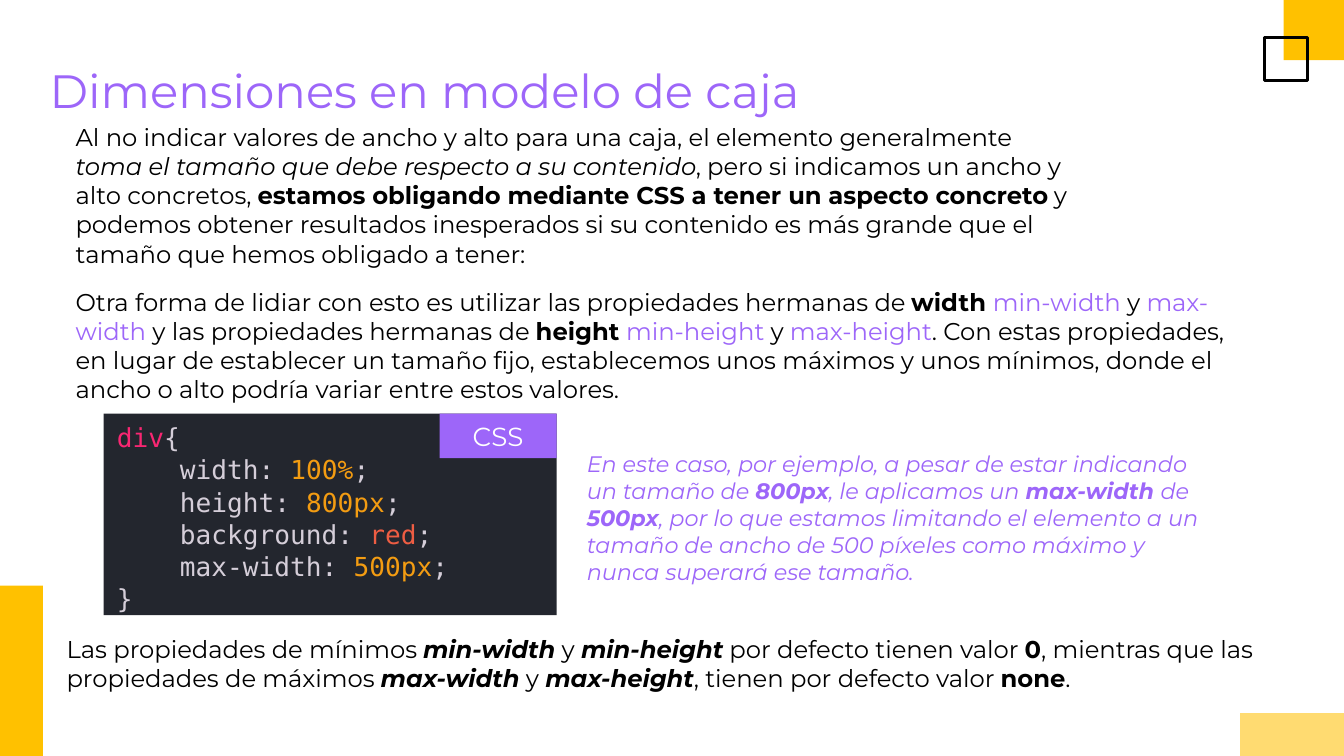
"""Build the slide about box model dimensions in CSS."""
from typing import NamedTuple

from pptx import Presentation
from pptx.dml.color import RGBColor
from pptx.enum.shapes import MSO_SHAPE
from pptx.enum.text import MSO_ANCHOR, MSO_AUTO_SIZE, PP_ALIGN
from pptx.util import Cm, Pt

RECTANGLE = MSO_SHAPE.RECTANGLE
TOP, MIDDLE = MSO_ANCHOR.TOP, MSO_ANCHOR.MIDDLE
LEFT, CENTER = PP_ALIGN.LEFT, PP_ALIGN.CENTER
NO_AUTOFIT = MSO_AUTO_SIZE.NONE

TEXT_FONT, CODE_FONT = "Montserrat", "DejaVu Sans Mono"
BLACK, WHITE, PURPLE = "000000", "FFFFFF", "9D66F9"
YELLOW, PALE_YELLOW = "FFC100", "FFDB71"
CODE_BACK, CODE_TEXT = "23262E", "D5CED9"
CODE_TAG, CODE_NUMBER, CODE_NAME = "F92672", "F39C12", "EE5D43"


class Area(NamedTuple):
    left: float
    top: float
    width: float
    height: float


class Span(NamedTuple):
    text: str
    color: str = BLACK
    bold: bool = False
    italic: bool = False


class Prose(NamedTuple):
    area: Area
    size: int
    spans: list[Span]


def strong(text: str) -> Span:
    return Span(text, bold=True)


def strong_italic(text: str) -> Span:
    return Span(text, bold=True, italic=True)


def purple(text: str) -> Span:
    return Span(text, PURPLE)


def remark(text: str, bold: bool = False) -> Span:
    return Span(text, PURPLE, bold, True)


def declaration(name: str, value: str, color: str) -> list[Span]:
    return [Span(f"    {name}: ", CODE_TEXT), Span(value, color), Span(";", CODE_TEXT)]


BLOCKS = [
    (Area(24.26, 0, 1.14, 1.14), YELLOW),
    (Area(0, 11.07, 0.81, 3.22), YELLOW),
    (Area(23.9, 0.71, 0.81, 0.81), None),
    (Area(23.44, 13.48, 1.96, 0.81), PALE_YELLOW),
]

PROSE = [
    Prose(Area(0.86, 2.06, 19.66, 3.51), 13, [
        Span("Al no indicar valores de ancho y alto para una caja, el elemento generalmente "),
        Span("toma el tamaño que debe respecto a su contenido", italic=True),
        Span(", pero si indicamos un ancho y alto concretos, "),
        strong("estamos obligando mediante CSS a tener un aspecto concreto"),
        Span(" y podemos obtener resultados inesperados si su contenido es más grande "
             "que el tamaño que hemos obligado a tener:"),
    ]),
    Prose(Area(0.86, 5.18, 23.06, 3.07), 13, [
        Span("Otra forma de lidiar con esto es utilizar las propiedades hermanas de "),
        strong("width "), purple("min-width"), Span(" y "), purple("max-width"),
        Span(" y las propiedades hermanas de "),
        strong("height "), purple("min-height"), Span(" y "), purple("max-height"),
        Span(". Con estas propiedades, en lugar de establecer un tamaño fijo, establecemos "
             "unos máximos y unos mínimos, donde el ancho o alto podría variar entre estos "
             "valores."),
    ]),
    Prose(Area(10.52, 8.26, 12.65, 2.9), 12, [
        remark("En este caso, por ejemplo, a pesar de estar indicando un tamaño de "),
        remark("800px", True), remark(", le aplicamos un "),
        remark("max-width ", True), remark("de "), remark("500px", True),
        remark(", por lo que estamos limitando el elemento a un tamaño de ancho de "
               "500 píxeles como máximo y nunca superará ese tamaño."),
    ]),
    Prose(Area(0.69, 11.73, 23.85, 1.57), 13, [
        Span("Las propiedades de mínimos "), strong_italic("min-width"), Span(" y "),
        strong_italic("min-height"), Span(" por defecto tienen valor "), strong("0"),
        Span(", mientras que las propiedades de máximos "), strong_italic("max-width"),
        Span(" y "), strong_italic("max-height"), Span(", tienen por defecto valor "),
        strong("none"), Span("."),
    ]),
]

CODE = [
    [Span("div", CODE_TAG), Span("{", CODE_TEXT)],
    declaration("width", "100%", CODE_NUMBER),
    declaration("height", "800px", CODE_NUMBER),
    declaration("background", "red", CODE_NAME),
    declaration("max-width", "500px", CODE_NUMBER),
    [Span("}", CODE_TEXT)],
]


def rgb(color: str) -> RGBColor:
    return RGBColor.from_string(color)


def lengths(area: Area) -> list[Cm]:
    return [Cm(value) for value in area]


def add_block(page, area: Area, fill: str | None):
    block = page.shapes.add_shape(RECTANGLE, *lengths(area))
    block.shadow.inherit = False
    if fill:
        block.fill.solid()
        block.fill.fore_color.rgb = rgb(fill)
        block.line.fill.background()
    else:
        block.fill.background()
        block.line.color.rgb = rgb(BLACK)
        block.line.width = Pt(1.5)
    return block


def set_frame(box, anchor=TOP, vertical_inset: float = 0.25):
    frame = box.text_frame
    frame.word_wrap = True
    frame.auto_size = NO_AUTOFIT
    frame.vertical_anchor = anchor
    frame.margin_left = frame.margin_right = Cm(0.25)
    frame.margin_top = frame.margin_bottom = Cm(vertical_inset)
    return frame


def write(paragraph, spans: list[Span], size: int, font: str = TEXT_FONT, align=LEFT) -> None:
    paragraph.alignment = align
    for span in spans:
        run = paragraph.add_run()
        run.text = span.text
        run.font.name = font
        run.font.size = Pt(size)
        run.font.bold = span.bold
        run.font.italic = span.italic
        run.font.color.rgb = rgb(span.color)


def add_prose(page, prose: Prose) -> None:
    box = page.shapes.add_textbox(*lengths(prose.area))
    paragraph = set_frame(box).paragraphs[0]
    paragraph._p.get_or_add_pPr().set("marL", str(Cm(0.32)))
    write(paragraph, prose.spans, prose.size)


def add_code(page) -> None:
    panel = add_block(page, Area(1.96, 7.82, 8.56, 3.81), CODE_BACK)
    frame = set_frame(panel, vertical_inset=0.13)
    for number, line in enumerate(CODE):
        paragraph = frame.add_paragraph() if number else frame.paragraphs[0]
        paragraph.line_spacing = 1.03
        write(paragraph, line, 14, CODE_FONT)
    label = add_block(page, Area(8.31, 7.82, 2.21, 0.84), PURPLE)
    write(set_frame(label, MIDDLE).paragraphs[0], [Span("CSS", WHITE)], 14, align=CENTER)


def main() -> None:
    deck = Presentation()
    deck.slide_width, deck.slide_height = Cm(25.4), Cm(14.29)
    page = deck.slides.add_slide(deck.slide_layouts[5])
    title = page.shapes.title
    title.left, title.top, title.width, title.height = lengths(Area(0.69, 0.91, 24.05, 1.6))
    write(set_frame(title).paragraphs[0], [purple("Dimensiones en modelo de caja")], 25)
    for area, fill in BLOCKS:
        add_block(page, area, fill)
    for prose in PROSE:
        add_prose(page, prose)
    add_code(page)
    deck.save("out.pptx")


if __name__ == "__main__":
    main()
